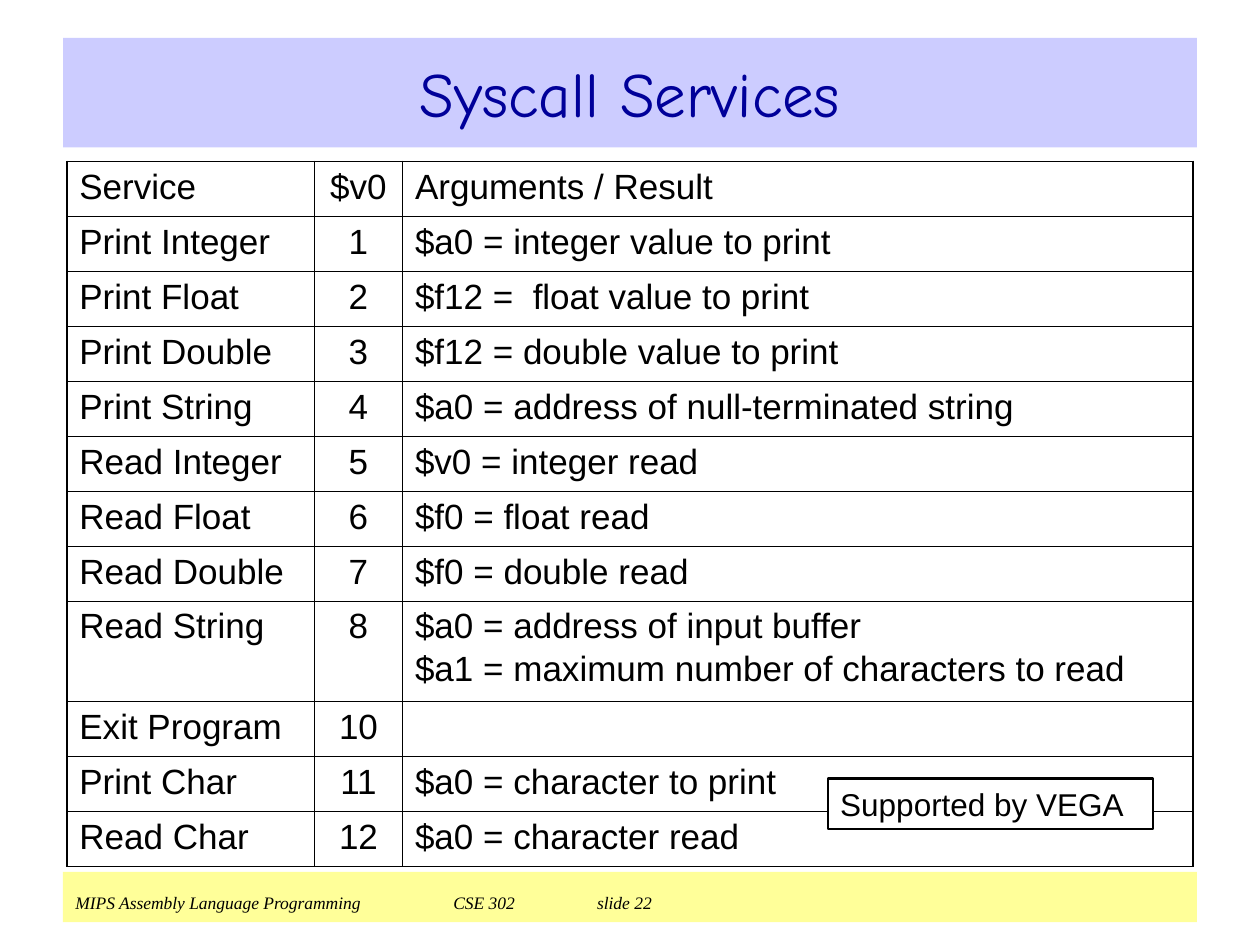
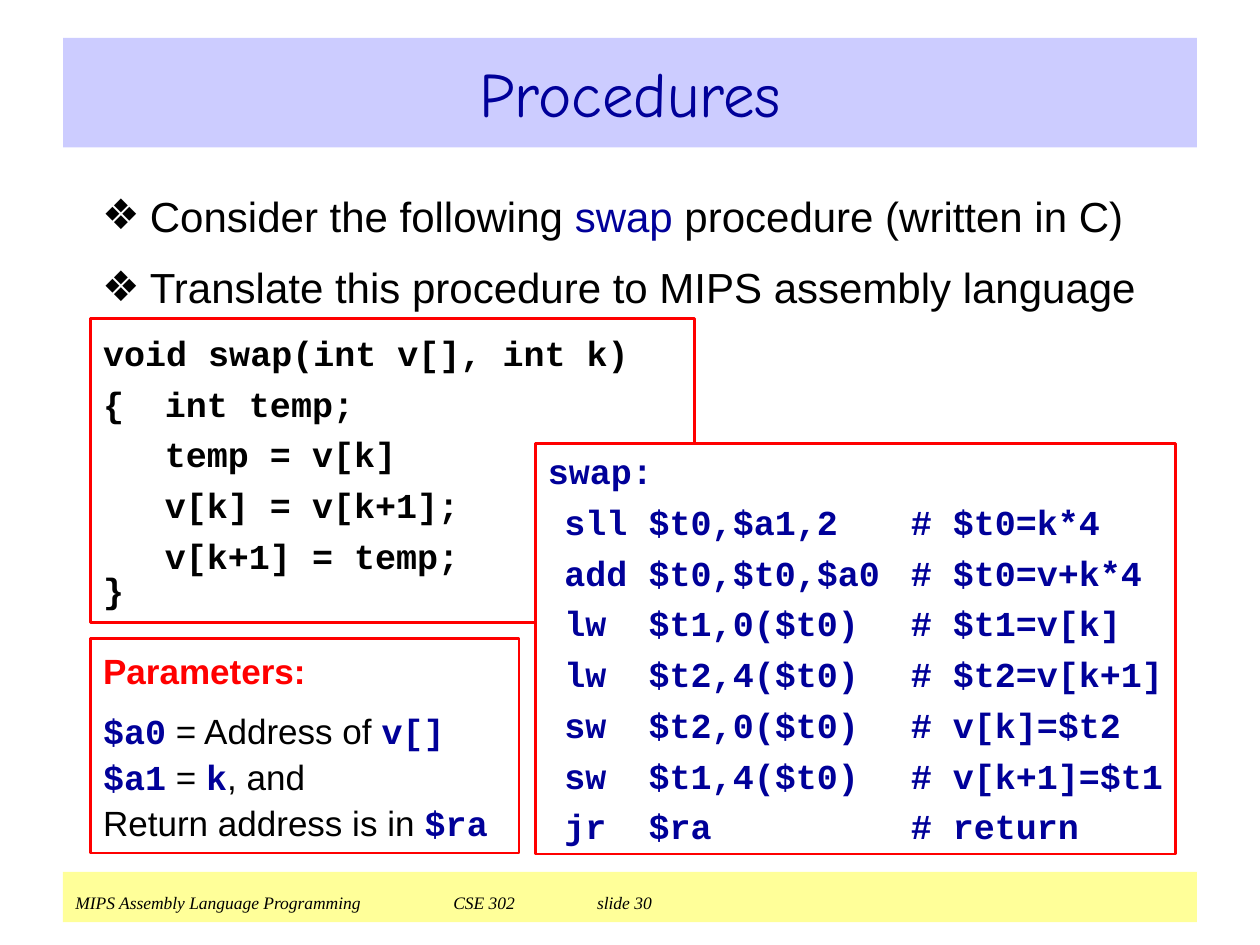
from dataclasses import dataclass
from typing import NamedTuple, Optional

from lxml import etree
from pptx import Presentation
from pptx.dml.color import RGBColor
from pptx.enum.shapes import MSO_SHAPE
from pptx.enum.text import MSO_ANCHOR, MSO_AUTO_SIZE, PP_ALIGN
from pptx.oxml.ns import qn
from pptx.util import Emu, Inches, Pt

RECT = MSO_SHAPE.RECTANGLE
TOP, MIDDLE, BOTTOM = MSO_ANCHOR.TOP, MSO_ANCHOR.MIDDLE, MSO_ANCHOR.BOTTOM
LEFT, CENTER = PP_ALIGN.LEFT, PP_ALIGN.CENTER
NO_FIT = MSO_AUTO_SIZE.NONE

# Slide grid: 100 columns by 75 rows
WIDTH, HEIGHT = Inches(10), Inches(7.5)
COL, ROW = WIDTH / 100, HEIGHT / 75


class Style(NamedTuple):
    font: str
    size: float
    color: str
    bold: bool = False
    italic: bool = False


@dataclass(frozen=True)
class Theme:
    black: str = "000000"
    white: str = "FFFFFF"
    navy: str = "000099"
    red: str = "FF0000"
    title_band: str = "CCCCFF"
    footer_band: str = "FFFF99"
    sans: str = "Arial"
    mono: str = "Courier New"
    frame_pt: float = 1.5
    outer_pt: float = 1
    inner_pt: float = 0.45

    def text(self, size: float = 20) -> Style:
        return Style(self.sans, size, self.black)

    def code(self, color: str) -> Style:
        return Style(self.mono, 20, color, bold=True)


THEME = Theme()
TITLE = Style("Comic Neue", 36, THEME.navy)
FOOTER = Style("Times New Roman", 10, THEME.black, italic=True)
CELL, BODY, NOTE = THEME.text(), THEME.text(24), THEME.text(18)
C_CODE, ASM_CODE = THEME.code(THEME.black), THEME.code(THEME.navy)
HEADING = Style(THEME.sans, 20, THEME.red, bold=True)


class Box(NamedTuple):
    """Left, top, width and height in grid columns and rows."""
    x: float
    y: float
    w: float
    h: float

    def place(self) -> tuple:
        return (Emu(round(self.x * COL)), Emu(round(self.y * ROW)),
                Emu(round(self.w * COL)), Emu(round(self.h * ROW)))


class Run(NamedTuple):
    text: str
    style: Style


@dataclass(frozen=True)
class Para:
    runs: tuple
    before: float = 0
    spacing: Optional[float] = None
    align: PP_ALIGN = LEFT
    tabs: tuple = ()
    bullet: str = ""


@dataclass(frozen=True)
class Panel:
    box: Box
    paras: tuple
    fill: Optional[str] = None
    line: Optional[str] = None
    anchor: MSO_ANCHOR = TOP
    inset: float = 0.05
    wrap: bool = True


def rgb(value: str) -> RGBColor:
    return RGBColor.from_string(value)


def line_of(text: str, style: Style, **options) -> Para:
    return Para((Run(text, style),), **options)


# Text
def add_bullet(pPr, mark: str) -> None:
    pPr.set("marL", str(Inches(0.38)))
    pPr.set("indent", str(-Inches(0.38)))
    color = etree.SubElement(pPr, qn("a:buClr"))
    etree.SubElement(color, qn("a:srgbClr"), val=THEME.black)
    etree.SubElement(pPr, qn("a:buChar"), char=mark)


def add_tabs(pPr, stops: tuple) -> None:
    tabs = etree.SubElement(pPr, qn("a:tabLst"))
    for stop in stops:
        etree.SubElement(tabs, qn("a:tab"), pos=str(Inches(stop)), algn="l")


def write(tf, paras: tuple) -> None:
    for i, para in enumerate(paras):
        p = tf.add_paragraph() if i else tf.paragraphs[0]
        p.alignment = para.align
        p.space_before = Pt(para.before)
        if para.spacing:
            p.line_spacing = para.spacing
        pPr = p._p.get_or_add_pPr()
        if para.bullet:
            add_bullet(pPr, para.bullet)
        if para.tabs:
            add_tabs(pPr, para.tabs)
        for text, style in para.runs:
            r = p.add_run()
            r.text = text
            r.font.name, r.font.size = style.font, Pt(style.size)
            r.font.bold, r.font.italic = style.bold, style.italic
            r.font.color.rgb = rgb(style.color)


def set_frame(tf, anchor: MSO_ANCHOR, inset: float = 0.05, wrap: bool = True) -> None:
    tf.auto_size, tf.word_wrap, tf.vertical_anchor = NO_FIT, wrap, anchor
    tf.margin_left = tf.margin_right = Inches(0.1)
    tf.margin_top = tf.margin_bottom = Inches(inset)


# Shapes
def draw_panel(s, panel: Panel) -> None:
    sp = s.shapes.add_shape(RECT, *panel.box.place())
    sp.shadow.inherit = False
    if panel.fill:
        sp.fill.solid()
        sp.fill.fore_color.rgb = rgb(panel.fill)
    else:
        sp.fill.background()
    if panel.line:
        sp.line.color.rgb = rgb(panel.line)
        sp.line.width = Pt(THEME.frame_pt)
    else:
        sp.line.fill.background()
    set_frame(sp.text_frame, panel.anchor, panel.inset, panel.wrap)
    write(sp.text_frame, panel.paras)


def fill_placeholder(sp, box: Box, paras: tuple, anchor: MSO_ANCHOR) -> None:
    sp.left, sp.top, sp.width, sp.height = box.place()
    set_frame(sp.text_frame, anchor)
    write(sp.text_frame, paras)


def new_slide(prs, layout: int, title: str, number: int):
    s = prs.slides.add_slide(prs.slide_layouts[layout])
    sp = s.shapes.title
    sp.fill.solid()
    sp.fill.fore_color.rgb = rgb(THEME.title_band)
    fill_placeholder(sp, Box(5, 3, 90, 8.7), (line_of(title, TITLE, align=CENTER),), MIDDLE)
    footer = f"MIPS Assembly Language Programming\tCSE 302\tslide {number}"
    draw_panel(s, Panel(Box(5, 69.2, 90, 4), (line_of(footer, FOOTER, tabs=(3, 4.14)),),
                        fill=THEME.footer_band, anchor=BOTTOM, inset=0.07))
    return s


# Services table
SERVICES = (
    ("Service", "$v0", "Arguments / Result"),
    ("Print Integer", "1", "$a0 = integer value to print"),
    ("Print Float", "2", "$f12 =  float value to print"),
    ("Print Double", "3", "$f12 = double value to print"),
    ("Print String", "4", "$a0 = address of null-terminated string"),
    ("Read Integer", "5", "$v0 = integer read"),
    ("Read Float", "6", "$f0 = float read"),
    ("Read Double", "7", "$f0 = double read"),
    ("Read String", "8", "$a0 = address of input buffer\n"
                         "$a1 = maximum number of characters to read"),
    ("Exit Program", "10", ""),
    ("Print Char", "11", "$a0 = character to print"),
    ("Read Char", "12", "$a0 = character read"),
)
TABLE_BOX = Box(5.3, 12.8, 89.4, 56)
COLUMN_SHARES = (0.22, 0.078, 0.702)
TALL_ROW = 8


def add_borders(cell, outer_sides: dict) -> None:
    tcPr = cell._tc.get_or_add_tcPr()
    for side, is_outer in outer_sides.items():
        width = THEME.outer_pt if is_outer else THEME.inner_pt
        ln = etree.SubElement(tcPr, qn(f"a:ln{side}"), w=str(Pt(width)))
        fill = etree.SubElement(ln, qn("a:solidFill"))
        etree.SubElement(fill, qn("a:srgbClr"), val=THEME.black)


def draw_services(s) -> None:
    n_rows, n_cols = len(SERVICES), len(COLUMN_SHARES)
    table = s.shapes.add_table(n_rows, n_cols, *TABLE_BOX.place()).table
    table.first_row = table.horz_banding = False
    for column, share in zip(table.columns, COLUMN_SHARES):
        column.width = Emu(round(TABLE_BOX.w * share * COL))
    plain_row = (TABLE_BOX.h - TALL_ROW) / (n_rows - 1)
    for i, service in enumerate(SERVICES):
        is_tall = "\n" in service[-1]
        table.rows[i].height = Emu(round((TALL_ROW if is_tall else plain_row) * ROW))
        for j, text in enumerate(service):
            cell = table.cell(i, j)
            add_borders(cell, {"L": j == 0, "R": j == n_cols - 1,
                               "T": i == 0, "B": i == n_rows - 1})
            cell.fill.background()
            if text:
                write(cell.text_frame, tuple(
                    line_of(part, CELL, before=2 if k else 0,
                            align=CENTER if j == 1 else LEFT)
                    for k, part in enumerate(text.split("\n"))))


def services_slide(prs) -> None:
    s = new_slide(prs, 5, "Syscall Services", 22)
    draw_services(s)
    draw_panel(s, Panel(Box(65.7, 61.8, 25.8, 4), (line_of("Supported by VEGA", NOTE),),
                        fill=THEME.white, line=THEME.black))


# Procedures slide
C_LINES = ("void swap(int v[], int k)", "{\tint temp;", "\ttemp = v[k]",
           "\tv[k] = v[k+1];", "\tv[k+1] = temp;")
ASM_LINES = (
    ("sll", "$t0,$a1,2", "# $t0=k*4"),
    ("add", "$t0,$t0,$a0", "# $t0=v+k*4"),
    ("lw", "$t1,0($t0)", "# $t1=v[k]"),
    ("lw", "$t2,4($t0)", "# $t2=v[k+1]"),
    ("sw", "$t2,0($t0)", "# v[k]=$t2"),
    ("sw", "$t1,4($t0)", "# v[k+1]=$t1"),
    ("jr", "$ra", "# return"),
)
CODE_GAP = 5


def procedures_slide(prs) -> None:
    s = new_slide(prs, 1, "Procedures", 30)
    bullets = (
        (Run("Consider the following ", BODY), Run("swap", BODY._replace(color=THEME.navy)),
         Run(" procedure (written in C)", BODY)),
        (Run("Translate this procedure to MIPS assembly language", BODY),),
    )
    fill_placeholder(s.placeholders[1], Box(7.1, 14.6, 85.9, 52.1),
                     tuple(Para(runs, before=12, bullet="❖") for runs in bullets), TOP)

    parameters = (
        line_of("Parameters:", HEADING, spacing=1.1),
        Para((Run("$a0", ASM_CODE), Run(" = Address of ", CELL), Run("v[]", ASM_CODE)),
             before=8, spacing=1.1),
        Para((Run("$a1", ASM_CODE), Run(" = ", CELL), Run("k", ASM_CODE),
              Run(", and", CELL)), spacing=1.1),
        Para((Run("Return address is in ", CELL), Run("$ra", ASM_CODE)), spacing=1.1),
    )
    c_paras = tuple(line_of(text, C_CODE, before=CODE_GAP, tabs=(0.49,)) for text in C_LINES)
    asm_texts = ["swap:"] + ["\t" + "\t".join(parts) for parts in ASM_LINES]
    asm_paras = tuple(line_of(text, ASM_CODE, before=CODE_GAP, tabs=(0.13, 0.8, 2.88))
                      for text in asm_texts)
    for panel in (
        Panel(Box(7.2, 50.7, 34, 17), parameters, line=THEME.red),
        Panel(Box(7.2, 25.3, 47.9, 24.1), c_paras + (line_of("}", C_CODE, spacing=0.8),),
              line=THEME.red, anchor=MIDDLE, inset=0.1),
        Panel(Box(42.5, 35.2, 50.8, 32.6), asm_paras, fill=THEME.white, line=THEME.red,
              wrap=False),
    ):
        draw_panel(s, panel)


def main() -> None:
    prs = Presentation()
    prs.slide_width, prs.slide_height = WIDTH, HEIGHT
    services_slide(prs)
    procedures_slide(prs)
    prs.save("out.pptx")


if __name__ == "__main__":
    main()
